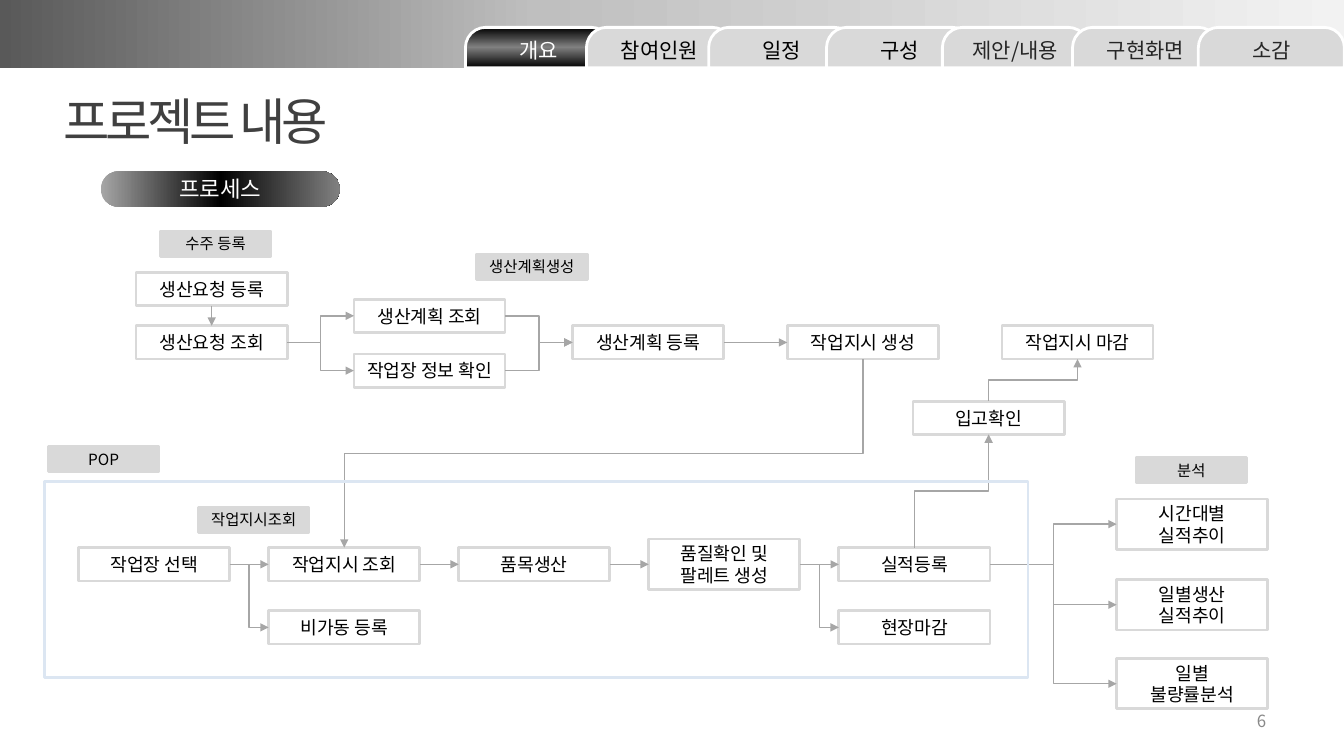
from copy import deepcopy
from lxml.etree import SubElement
from pptx import Presentation
from pptx.dml.color import RGBColor
from pptx.enum.shapes import MSO_CONNECTOR, MSO_SHAPE
from pptx.enum.text import MSO_ANCHOR, PP_ALIGN
from pptx.oxml.ns import qn
from pptx.util import Cm, Pt

FONT = "Noto Sans CJK KR"
BLACK, DARK, WHITE, PALE, GREY = "000000", "262626", "FFFFFF", "D9D9D9", "A6A6A6"

TITLE, BADGE, PAGE = "프로젝트 내용", "프로세스", "6"
TABS = [  # text, left, colour
    ("개요", 11.73, WHITE), ("참여인원", 14.78, BLACK), ("일정", 17.86, BLACK),
    ("구성", 20.83, BLACK), ("제안/내용", 23.75, DARK),
    ("구현화면", 27.03, DARK), ("소감", 30.2, DARK),
]
TAGS = [  # text, left, top
    ("수주 등록", 4.04, 5.82), ("생산계획생성", 12.01, 6.4),
    ("작업지시조회", 5, 12.78), ("분석", 28.63, 11.53), ("POP", 1.22, 11.25),
]
PLAN, POP, STOP = 8.63, 14.22, 15.81  # centre lines of the rows
COLS = [1.98 + 4.79 * i for i in range(5)]
STEPS = {  # name: (lines, left, centre line)
    "ask": (["생산요청 등록"], 3.43, 7.28),
    "view": (["생산요청 조회"], 3.43, PLAN),
    "site": (["작업장 정보 확인"], 8.92, 9.34),
    "plan": (["생산계획 조회"], 8.92, 7.96),
    "enter": (["생산계획 등록"], 14.43, PLAN),
    "order": (["작업지시 생성"], 19.84, PLAN),
    "close": (["작업지시 마감"], 25.25, PLAN),
    "store": (["입고확인"], 23.01, 10.53),
    "pick": (["작업장 선택"], COLS[0], POP),
    "check": (["작업지시 조회"], COLS[1], POP),
    "make": (["품목생산"], COLS[2], POP),
    "test": (["품질확인 및", "팔레트 생성"], COLS[3], POP),
    "log": (["실적등록"], COLS[4], POP),
    "idle": (["비가동 등록"], COLS[1], STOP),
    "end": (["현장마감"], COLS[4], STOP),
    "hour": (["시간대별", "실적추이"], 28.14, 13.21),
    "day": (["일별생산", "실적추이"], 28.14, 15.24),
    "fault": (["일별", "불량률분석"], 28.14, 17.23),
}
TOP, LEFT, BOTTOM, RIGHT = range(4)
ACROSS, DOWN, UP = (RIGHT, LEFT), (BOTTOM, TOP), (TOP, BOTTOM)
FLOWS = [
    ("ask", "view", DOWN), ("view", "plan", ACROSS), ("view", "site", ACROSS),
    ("plan", "enter", ACROSS), ("site", "enter", ACROSS),
    ("enter", "order", ACROSS), ("order", "check", DOWN),
    ("pick", "check", ACROSS), ("pick", "idle", ACROSS),
    ("check", "make", ACROSS), ("make", "test", ACROSS),
    ("test", "log", ACROSS), ("test", "end", ACROSS),
    ("log", "store", UP), ("store", "close", UP),
    ("log", "hour", ACROSS), ("log", "day", ACROSS), ("log", "fault", ACROSS),
]


def rgb(code):
    return RGBColor.from_string(code)


def blend(fill, stops, angle):
    fill.gradient()
    fill.gradient_angle = angle
    first = fill.gradient_stops[0]._gs
    for _ in stops[2:]:
        first.addnext(deepcopy(first))
    for stop, (place, code) in zip(fill.gradient_stops, stops):
        stop.position = place
        stop.color.rgb = rgb(code)


def write(shape, lines, size, code, align=PP_ALIGN.CENTER):
    frame = shape.text_frame
    frame.vertical_anchor = MSO_ANCHOR.MIDDLE
    for i, line in enumerate(lines):
        para = frame.paragraphs[0] if i == 0 else frame.add_paragraph()
        para.alignment = align
        run = para.add_run()
        run.text = line
        run.font.size, run.font.name = Pt(size), FONT
        run.font.color.rgb = rgb(code)
        SubElement(run.font._element, qn("a:ea"), typeface=FONT)
    return run


def block(kind, left, top, width, height, fill=None, line=None):
    shape = slide.shapes.add_shape(kind, Cm(left), Cm(top), Cm(width), Cm(height))
    shape.shadow.inherit = False
    if fill:
        shape.fill.solid()
        shape.fill.fore_color.rgb = rgb(fill)
    else:
        shape.fill.background()
    if line:
        shape.line.color.rgb = rgb(line)
        shape.line.width = Pt(2)
    else:
        shape.line.fill.background()
    frame = shape.text_frame
    frame.margin_left = frame.margin_right = frame.margin_top = frame.margin_bottom = 0
    return shape


def turn(link):
    """Rotate an elbow by 90 degrees so that it leaves its box vertically."""
    x1, y1, x2, y2 = link.begin_x, link.begin_y, link.end_x, link.end_y
    midx, midy = (x1 + x2) // 2, (y1 + y2) // 2
    link.begin_x, link.begin_y = midx + y1 - midy, midy - x1 + midx
    link.end_x, link.end_y = midx + y2 - midy, midy - x2 + midx
    link._element.spPr.find(qn("a:xfrm")).set("rot", "5400000")


def join(start, end, sites):
    axis = 1 if sites == ACROSS else 0
    mids = [(box.left + box.width // 2, box.top + box.height // 2)
            for box in (start, end)]
    bent = abs(mids[0][axis] - mids[1][axis]) > Cm(0.05)
    kind = MSO_CONNECTOR.ELBOW if bent else MSO_CONNECTOR.STRAIGHT
    link = slide.shapes.add_connector(kind, *mids[0], *mids[1])
    link.begin_connect(start, sites[0])
    link.end_connect(end, sites[1])
    if bent and sites != ACROSS:
        turn(link)
    link.line.color.rgb = rgb(GREY)
    link.line.width = Pt(1)
    SubElement(link.line._get_or_add_ln(), qn("a:tailEnd"), type="triangle")
    SubElement(link._element.spPr, qn("a:effectLst"))


deck = Presentation()
deck.slide_width, deck.slide_height = Cm(33.87), Cm(19.05)
slide = deck.slides.add_slide(deck.slide_layouts[6])

band = block(MSO_SHAPE.RECTANGLE, 0, -0.02, 33.87, 1.73)
blend(band.fill, [(0, "595959"), (0.4, "BFBFBF"), (1, "F2F2F2")], 0)

title = slide.shapes.add_textbox(Cm(1.35), Cm(2.13), Cm(7.82), Cm(1.8))
head = write(title, [TITLE], 36, "404040", PP_ALIGN.LEFT)
head.font._element.set("spc", "-300")

boxes = {}
for name, (lines, left, mid) in STEPS.items():
    high = 0.84 if len(lines) == 1 else 1.27
    boxes[name] = block(MSO_SHAPE.RECTANGLE, left, mid - high / 2, 3.81, high, WHITE, PALE)
    write(boxes[name], lines, 13, BLACK)

for text, left, top in TAGS:
    write(block(MSO_SHAPE.RECTANGLE, left, top, 2.79, 0.64, PALE, PALE), [text], 11, BLACK)

for i, (text, left, code) in enumerate(TABS):
    tab = block(MSO_SHAPE.ROUND_2_SAME_RECTANGLE, left, 0.69, 3.68, 1.02, PALE, WHITE)
    tab.adjustments[0], tab.adjustments[1] = 0.5, 0
    if i == 0:
        blend(tab.fill, [(0, BLACK), (0.51, "808080"), (1, BLACK)], 90)
    write(tab, [text], 15, code)

badge = block(MSO_SHAPE.ROUNDED_RECTANGLE, 2.54, 4.32, 6.02, 0.89)
badge.adjustments[0] = 0.5
blend(badge.fill, [(0, GREY), (0.5, BLACK), (1, "808080")], 0)
write(badge, [BADGE], 16, WHITE)

for start, end, sites in FLOWS:
    join(boxes[start], boxes[end], sites)

block(MSO_SHAPE.RECTANGLE, 1.12, 12.14, 24.79, 4.93, line="DCE6F2")

page = slide.shapes.add_textbox(Cm(24.26), Cm(17.65), Cm(7.9), Cm(1.02))
page.text_frame.word_wrap = True
write(page, [PAGE], 12, "898989", PP_ALIGN.RIGHT)

deck.save("out.pptx")
